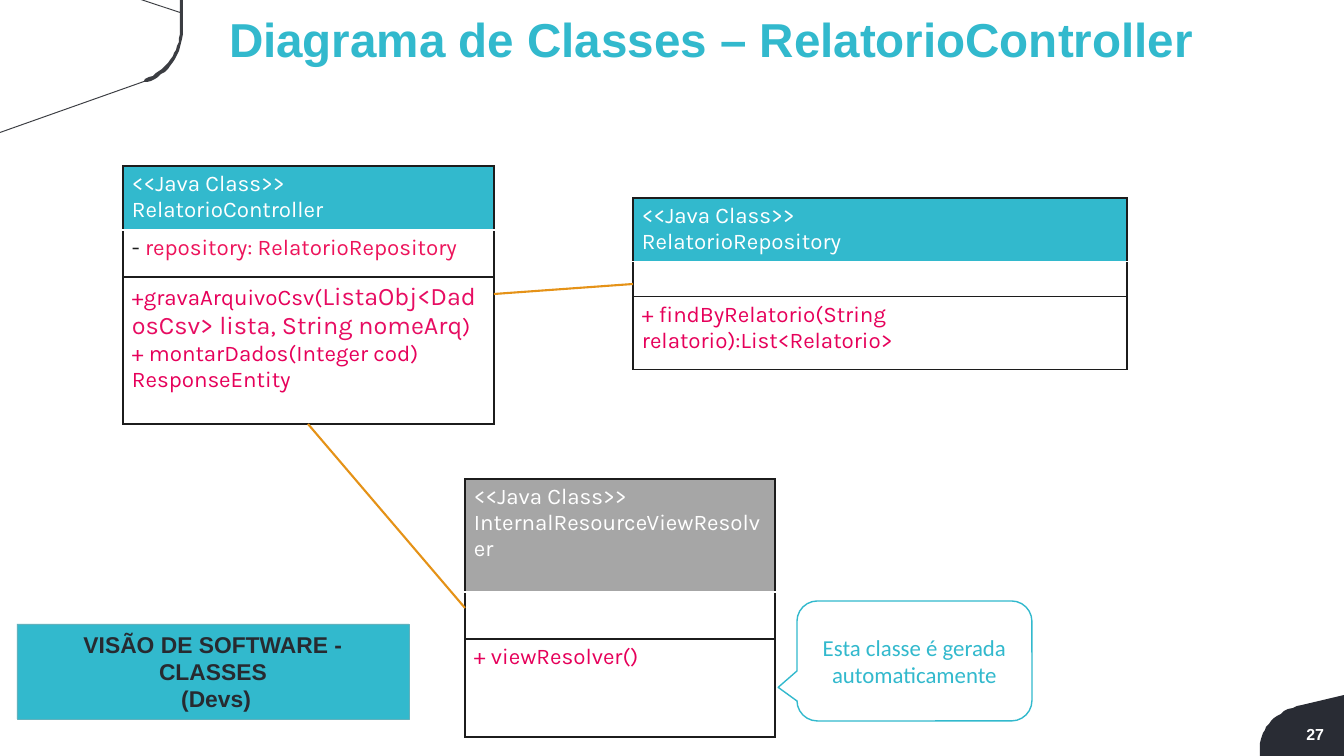
from lxml.etree import SubElement as Sub
from pptx import Presentation
from pptx.dml.color import RGBColor as RGB
from pptx.enum.shapes import MSO_CONNECTOR as LINK, MSO_SHAPE as KIND
from pptx.enum.text import MSO_ANCHOR as ANCHOR, PP_ALIGN as ALIGN
from pptx.oxml.ns import qn
from pptx.util import Emu, Pt

SCALE = 914400 / 100.8
TEAL = RGB(0x32, 0xB9, 0xCD)
EDGE = RGB(0x63, 0xB1, 0xBC)
WHITE = RGB(0xFF, 0xFF, 0xFF)
BLACK = RGB(0x1C, 0x1C, 0x1C)
DARK = RGB(0x27, 0x2A, 0x30)
TAB = RGB(0x29, 0x2C, 0x34)
INK = RGB(0x3B, 0x3D, 0x42)
GREY = RGB(0xA6, 0xA6, 0xA6)
PINK = RGB(0xE6, 0x00, 0x5A)
ROSE = RGB(0xED, 0x14, 0x5B)
RED = RGB(0xE7, 0x0D, 0x62)
AMBER = RGB(0xE5, 0x92, 0x17)


def px(*vals):
    return [Emu(round(v * SCALE)) for v in vals]


def put(frame, lines, align=ALIGN.LEFT, anchor=ANCHOR.TOP, space=None, **base):
    frame.word_wrap = True
    frame.vertical_anchor = anchor
    for i, line in enumerate(lines):
        para = frame.add_paragraph() if i else frame.paragraphs[0]
        para.alignment = align
        if space:
            para.line_spacing = space
        for text, more in line if isinstance(line, list) else [(line, {})]:
            look = {**base, **more}
            run = para.add_run()
            run.text = text
            run.font.name = look["font"]
            run.font.size = Pt(look["size"])
            run.font.bold = look.get("bold", False)
            run.font.color.rgb = look["color"]


def bend(a, b, c, d, steps=16):
    for i in range(steps + 1):
        t = i / steps
        s = 1 - t
        yield tuple(s**3 * p + 3 * s * s * t * q + 3 * s * t * t * r + t**3 * u
                    for p, q, r, u in zip(a, b, c, d))


class Page:
    font = "Arial"
    code = "Karla"

    def __init__(self, deck):
        self.slide = deck.slides.add_slide(deck.slide_layouts[5])
        self.shapes = self.slide.shapes

    def paint(self, shape, fill=None, line=None, width=1):
        shape.shadow.inherit = False
        if fill is None:
            shape.fill.background()
        else:
            shape.fill.solid()
            shape.fill.fore_color.rgb = fill
        if line is None:
            shape.line.fill.background()
        else:
            shape.line.color.rgb = line
            shape.line.width = Pt(width)

    def title(self, box, text):
        head = self.shapes.title
        head.left, head.top, head.width, head.height = px(*box)
        put(head.text_frame, [text], space=0.9, font=self.font, size=34, bold=True, color=TEAL)

    def outline(self, points, fill):
        first, *rest = points
        path = self.shapes.build_freeform(*first, scale=SCALE)
        path.add_line_segments(rest, close=True)
        self.paint(path.convert_to_shape(), fill)

    def label(self, box, text, **look):
        frame = self.shapes.add_textbox(*px(*box)).text_frame
        frame.margin_left, frame.margin_top, frame.margin_right, frame.margin_bottom = px(2, 1, 2, 1)
        put(frame, [text], font=self.font, **look)

    def shape(self, kind, box, lines, fill=None, line=None, width=1, adj=(), **look):
        item = self.shapes.add_shape(kind, *px(*box))
        for i, val in enumerate(adj):
            item.adjustments[i] = val
        self.paint(item, fill, line, width)
        put(item.text_frame, lines, align=ALIGN.CENTER, anchor=ANCHOR.MIDDLE, **look)

    def link(self, *ends):
        wire = self.shapes.add_connector(LINK.STRAIGHT, *px(*ends))
        wire.line.color.rgb = AMBER
        wire.line.width = Pt(1.5)
        Sub(wire.element.spPr, qn("a:effectLst"))

    def border(self, cell, sides):
        props = cell._tc.get_or_add_tcPr()
        for side, color in zip("LRTB", sides):
            edge = Sub(props, qn("a:ln" + side), w=str(Pt(1)))
            Sub(Sub(edge, qn("a:solidFill")), qn("a:srgbClr"), val=str(color))

    def table(self, left, top, width, rows, name, fields, calls, fill=TEAL):
        grid = self.shapes.add_table(3, 1, *px(left, top, width, sum(rows))).table
        grid.first_row = grid.horz_banding = False
        grid.columns[0].width = px(width)[0]
        parts = [
            (["<<Java Class>>", name], WHITE, fill, BLACK, WHITE),
            (fields, ROSE, None, WHITE, BLACK),
            (calls, PINK, None, BLACK, BLACK),
        ]
        for i, (lines, color, back, upper, lower) in enumerate(parts):
            grid.rows[i].height = px(rows[i])[0]
            cell = grid.cell(i, 0)
            cell.margin_left, cell.margin_right, cell.margin_top, cell.margin_bottom = px(9, 9, 5, 5)
            self.border(cell, (BLACK, BLACK, upper, lower))
            if back is None:
                cell.fill.background()
            else:
                cell.fill.solid()
                cell.fill.fore_color.rgb = back
            put(cell.text_frame, lines, font=self.code, size=16, color=color)
            if not lines:
                cell.text_frame.paragraphs[0]._p.get_or_add_endParaRPr().set("sz", "1200")


deck = Presentation()
deck.slide_width, deck.slide_height = px(1344, 756)
page = Page(deck)

page.outline([(1344, 695), *bend((1302, 705), (1276, 711), (1260, 728), (1260, 746)),
              (1260, 756), (1344, 756)], TAB)
page.outline([(0, 133), (144, 82), *bend((147, 82), (168, 75), (183, 54), (183, 30)),
              (183, 0), (180, 0), (180, 12), (144, 0), (141, 0), (180, 13),
              *bend((180, 30), (180, 52), (166, 71), (145, 79)), (144, 81), (0, 132)], INK)
page.label((1264, 724, 62, 21), "27", align=ALIGN.RIGHT, size=11.4, bold=True, color=WHITE)
page.title((219, 11, 1077, 77), "Diagrama de Classes – RelatorioController")

page.table(123, 166, 371, (64, 47, 147), "RelatorioController",
           [[("- ", {"color": BLACK}), ("repository: RelatorioRepository", {})]],
           [[("+gravaArquivoCsv(", {}),
             ("ListaObj<DadosCsv> lista, String nomeArq", {"size": 18, "color": RED}),
             (")", {})],
            "+ montarDados(Integer cod) ResponseEntity"])
page.table(633, 198, 494, (62, 35, 73), "RelatorioRepository", [],
           ["+ findByRelatorio(String relatorio):List<Relatorio>"])
page.table(465, 479, 310, (113, 47, 98), "InternalResourceViewResolver", [],
           ["+ viewResolver()"], fill=GREY)

page.link(494, 294, 633, 284)
page.link(308, 424, 465, 608)

page.shape(KIND.ROUNDED_RECTANGULAR_CALLOUT, (797, 601, 235, 120),
           ["Esta classe é gerada automaticamente"], line=TEAL,
           adj=(-0.58, 0.22, 0.17), font="Calibri", size=16.3, color=TEAL)
page.shape(KIND.RECTANGLE, (17, 624, 392, 95), ["VISÃO DE SOFTWARE - CLASSES", " (Devs)"],
           fill=TEAL, line=EDGE, width=0.5, font=page.font, size=16.3, bold=True, color=DARK)

deck.save("out.pptx")
